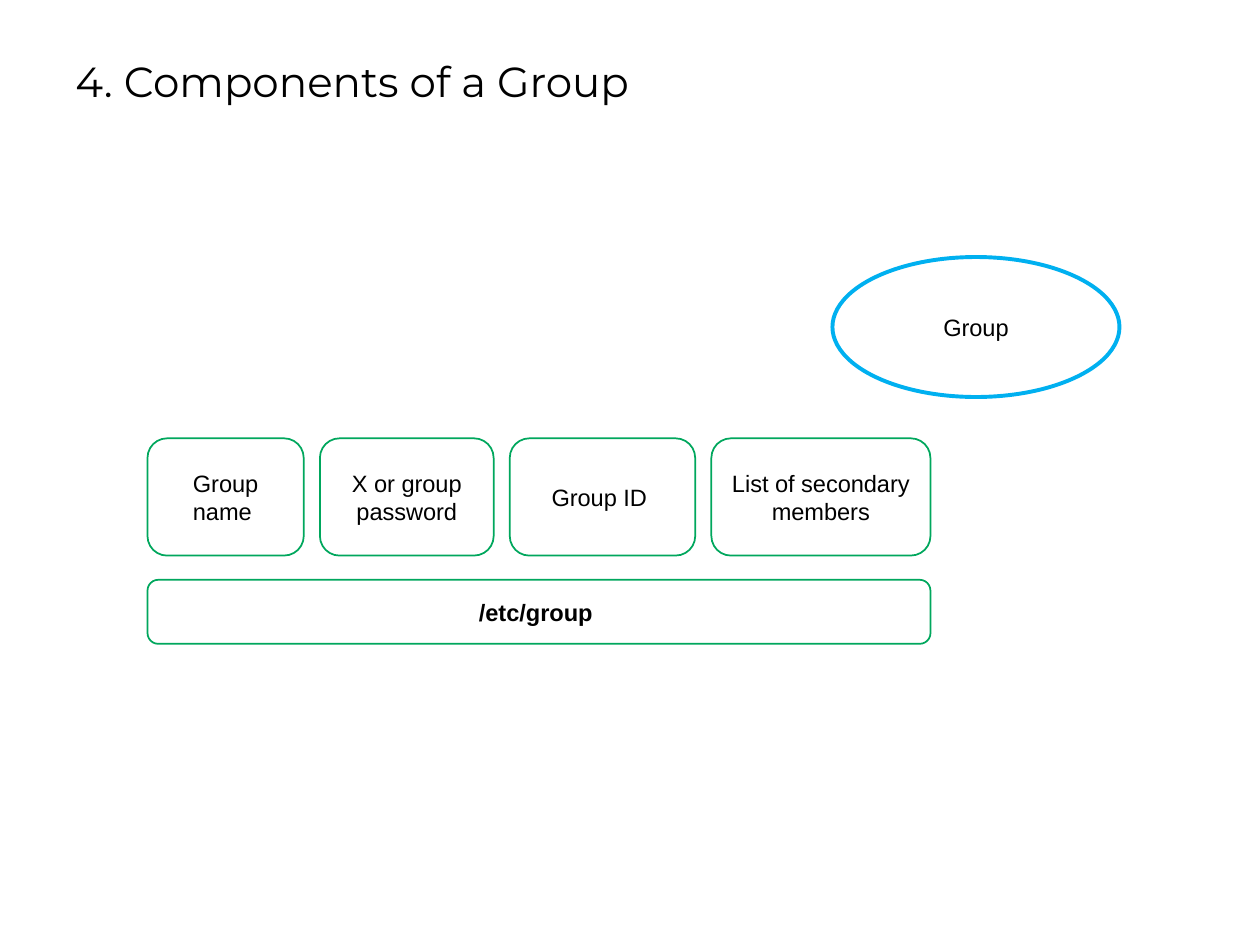
from dataclasses import dataclass

from pptx import Presentation
from pptx.dml.color import RGBColor
from pptx.enum.shapes import MSO_SHAPE as Shape
from pptx.enum.text import MSO_ANCHOR as Anchor, PP_ALIGN as Align
from pptx.slide import Slide
from pptx.text.text import TextFrame
from pptx.util import Pt

COLORS = {"text": "000000", "box": "FFFFFF", "file": "00A75D", "group": "00B0F0"}
TITLE_FONT = {"name": "Montserrat", "size": Pt(24), "bold": False}
LABEL_FONT = {"name": "Arial", "size": Pt(13.5), "bold": False}
LEFT, GAP = 84.3, 9.2
FIELD_TOP, FIELD_HEIGHT = 250.5, 67
FILE_TOP, FILE_HEIGHT = 331.3, 36.6
FIELDS = [
    ("Group name ", 89.3),
    ("X or group password", 99.3),
    ("Group ID ", 106),
    ("List of secondary members", 125.2),
]


@dataclass
class Node:
    text: str
    left: float
    top: float
    width: float
    height: float
    kind: Shape = Shape.ROUNDED_RECTANGLE
    line: str = "file"
    weight: float = 1
    filled: bool = True
    bold: bool = False


def rgb(name: str) -> RGBColor:
    return RGBColor.from_string(COLORS[name])


def write(tf: TextFrame, text: str, fmt: dict, align: Align) -> None:
    tf.word_wrap = True
    p = tf.paragraphs[0]
    p.alignment = align
    r = p.add_run()
    r.text = text
    for key, value in fmt.items():
        setattr(r.font, key, value)
    r.font.color.rgb = rgb("text")


def draw_node(s: Slide, node: Node) -> None:
    sp = s.shapes.add_shape(
        node.kind, Pt(node.left), Pt(node.top), Pt(node.width), Pt(node.height)
    )
    sp.shadow.inherit = False
    if node.filled:
        sp.fill.solid()
        sp.fill.fore_color.rgb = rgb("box")
    else:
        sp.fill.background()
    sp.line.color.rgb = rgb(node.line)
    sp.line.width = Pt(node.weight)
    sp.text_frame.vertical_anchor = Anchor.MIDDLE
    write(sp.text_frame, node.text, LABEL_FONT | {"bold": node.bold}, Align.CENTER)


def main() -> None:
    prs = Presentation()
    prs.slide_width, prs.slide_height = Pt(720), Pt(540)
    s = prs.slides.add_slide(prs.slide_layouts[6])

    title = s.shapes.add_textbox(Pt(36), Pt(28), Pt(649.5), Pt(36))
    write(title.text_frame, "4. Components of a Group", TITLE_FONT, Align.LEFT)

    draw_node(s, Node("Group", 475.7, 146.9, 164, 80, Shape.OVAL, "group", 2.25, False))

    left = LEFT
    for text, width in FIELDS:
        draw_node(s, Node(text, left, FIELD_TOP, width, FIELD_HEIGHT))
        left += width + GAP
    file_width = left - GAP - LEFT
    draw_node(s, Node("/etc/group ", LEFT, FILE_TOP, file_width, FILE_HEIGHT, bold=True))

    prs.save("out.pptx")


if __name__ == "__main__":
    main()
